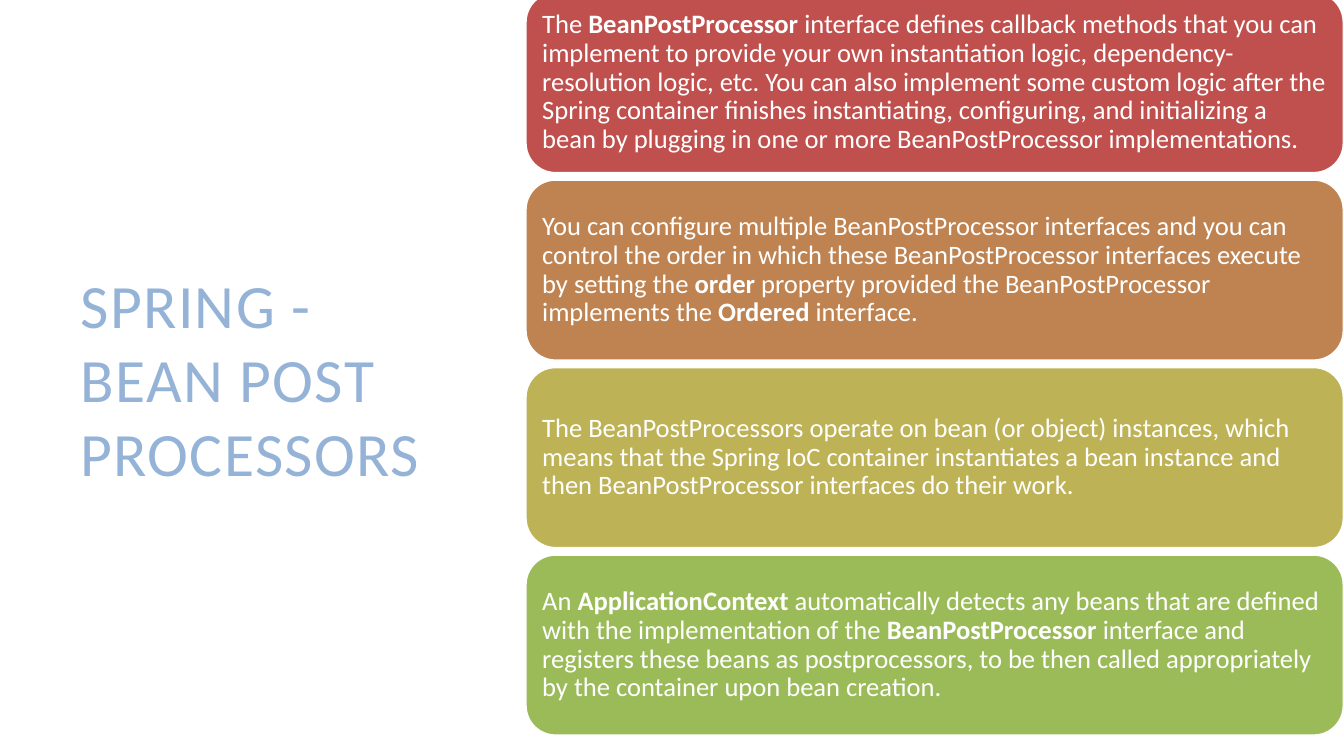
import pptx
import pptx.util
import pptx.dml.color
import pptx.enum.shapes
import pptx.enum.text

Inches = pptx.util.Inches
Pt = pptx.util.Pt

COLOURS = {
    "title": "95B3D7",
    "white": "FFFFFF",
    "red": "C0504D",
    "orange": "BE8351",
    "olive": "BDB255",
    "green": "9BBB59",
}
FONT = "Calibri"
CARD_LEFT, CARD_TOP = 5.21, -0.08
CARD_WIDTH, CARD_HEIGHT = 8.12, 1.8
CARD_PITCH = 1.86
CARD_INSET = 0.08

# Each card: fill colour, then text whose odd pieces between ** are bold.
CARDS = [
    ("red", "The **BeanPostProcessor** interface defines callback methods that you can "
            "implement to provide your own instantiation logic, dependency-resolution logic, "
            "etc. You can also implement some custom logic after the Spring container finishes "
            "instantiating, configuring, and initializing a bean by plugging in one or more "
            "BeanPostProcessor implementations."),
    ("orange", "You can configure multiple BeanPostProcessor interfaces and you can control the "
               "order in which these BeanPostProcessor interfaces execute by setting the "
               "**order** property provided the BeanPostProcessor implements the **Ordered** "
               "interface."),
    ("olive", "The BeanPostProcessors operate on bean (or object) instances, which means that "
              "the Spring IoC container instantiates a bean instance and then "
              "BeanPostProcessor interfaces do their work."),
    ("green", "An **ApplicationContext** automatically detects any beans that are defined with "
              "the implementation of the **BeanPostProcessor** interface and registers these "
              "beans as postprocessors, to be then called appropriately by the container upon "
              "bean creation."),
]


def colour(name):
    return pptx.dml.color.RGBColor.from_string(COLOURS[name])


def add_span(para, text, size, colour_name, bold=False):
    span = para.add_run()
    span.text = text
    span.font.name = FONT
    span.font.size = Pt(size)
    span.font.bold = bold
    span.font.color.rgb = colour(colour_name)
    return span


def prepare_frame(shape):
    """Wrap and centre vertically; return the first paragraph, left aligned."""
    frame = shape.text_frame
    frame.word_wrap = True
    frame.vertical_anchor = pptx.enum.text.MSO_ANCHOR.MIDDLE
    para = frame.paragraphs[0]
    para.alignment = pptx.enum.text.PP_ALIGN.LEFT
    return para


def add_title(page, text):
    box = page.shapes.add_textbox(Inches(0.7), Inches(0.7), Inches(3.74), Inches(6.09))
    span = add_span(prepare_frame(box), text, 44, "title")
    span.font._element.set("spc", "100")


def add_card(page, row, fill, text):
    card = page.shapes.add_shape(
        pptx.enum.shapes.MSO_SHAPE.ROUNDED_RECTANGLE,
        Inches(CARD_LEFT), Inches(CARD_TOP + row * CARD_PITCH),
        Inches(CARD_WIDTH), Inches(CARD_HEIGHT))
    card.shadow.inherit = False
    card.fill.solid()
    card.fill.fore_color.rgb = colour(fill)
    card.line.color.rgb = colour("white")
    card.line.width = Pt(2)
    frame = card.text_frame
    frame.margin_left = frame.margin_right = Inches(CARD_INSET)
    frame.margin_top = frame.margin_bottom = Inches(CARD_INSET)
    para = prepare_frame(card)
    para.line_spacing = 0.9
    for index, piece in enumerate(text.split("**")):
        add_span(para, piece, 19, "white", bold=index % 2 == 1)


def main():
    deck = pptx.Presentation()
    deck.slide_width, deck.slide_height = Inches(13.33), Inches(7.5)
    page = deck.slides.add_slide(deck.slide_layouts[6])
    add_title(page, "SPRING - BEAN POST PROCESSORS")
    for row, (fill, text) in enumerate(CARDS):
        add_card(page, row, fill, text)
    deck.save("out.pptx")


if __name__ == "__main__":
    main()
